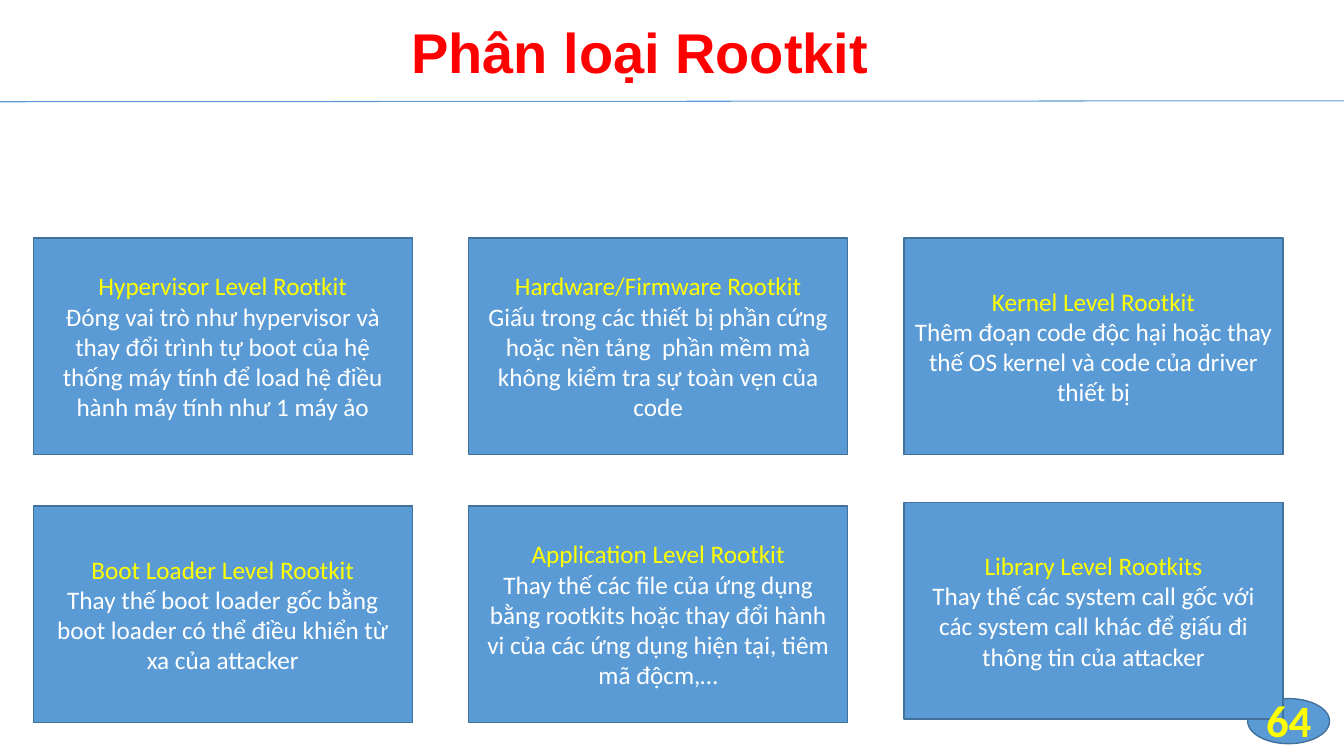
import pptx
import pptx.util
import pptx.dml.color
import pptx.enum.shapes
import pptx.enum.text
import pptx.oxml

Pt = pptx.util.Pt
SHAPE = pptx.enum.shapes.MSO_SHAPE
ALIGN = pptx.enum.text.PP_ALIGN
ANCHOR = pptx.enum.text.MSO_ANCHOR
FIT = pptx.enum.text.MSO_AUTO_SIZE

COLORS = {"fill": "5B9BD5", "edge": "42719B", "head": "FFFF00",
          "body": "FFFFFF", "title": "FF0000"}


def rgb(name):
    return pptx.dml.color.RGBColor.from_string(COLORS[name])


def write(frame, text, color="body", size=18, font="Calibri", bold=False,
          align=ALIGN.CENTER, anchor=ANCHOR.MIDDLE, more=False):
    frame.word_wrap = True
    frame.vertical_anchor = anchor
    para = frame.add_paragraph() if more else frame.paragraphs[0]
    para.alignment = align
    run = para.add_run()
    run.text = text
    run.font.name = font
    run.font.size = Pt(size)
    run.font.bold = bold
    run.font.color.rgb = rgb(color)


def block(kind, left, top, width, height):
    shape = slide.shapes.add_shape(kind, Pt(left), Pt(top), Pt(width), Pt(height))
    shape.shadow.inherit = False
    shape.fill.solid()
    shape.fill.fore_color.rgb = rgb("fill")
    shape.line.color.rgb = rgb("edge")
    shape.line.width = Pt(1)
    return shape


deck = pptx.Presentation()
deck.slide_width = Pt(960)
deck.slide_height = Pt(540)
slide = deck.slides.add_slide(deck.slide_layouts[5])

# Title and the rule below it
title = slide.shapes.title
title.left, title.top = Pt(286.6), Pt(8.6)
title.width, title.height = Pt(367.2), Pt(55.4)
write(title.text_frame, "Phân loại Rootkit", color="title", size=40,
      font="Arial", bold=True, align=ALIGN.LEFT, anchor=ANCHOR.TOP)
title.text_frame.auto_size = FIT.SHAPE_TO_FIT_TEXT

rule = slide.shapes.add_connector(
    pptx.enum.shapes.MSO_CONNECTOR.STRAIGHT, Pt(0), Pt(72.7), Pt(960), Pt(72))
rule.line.color.rgb = rgb("fill")
rule.line.width = Pt(0.75)
rule._element.spPr.append(pptx.oxml.parse_xml(
    '<a:effectLst xmlns:a="http://schemas.openxmlformats.org/drawingml/2006/main"/>'))

# Oval behind the page number
block(SHAPE.OVAL, 891.2, 499, 58.5, 32.2)

# Two rows of three rootkit types
kinds = [
    ("Hypervisor Level Rootkit",
     "Đóng vai trò như hypervisor và thay đổi trình tự boot của hệ thống "
     "máy tính để load hệ điều hành máy tính như 1 máy ảo"),
    ("Hardware/Firmware Rootkit",
     "Giấu trong các thiết bị phần cứng hoặc nền tảng  phần mềm mà không "
     "kiểm tra sự toàn vẹn của code"),
    ("Kernel Level Rootkit",
     "Thêm đoạn code độc hại hoặc thay thế OS kernel và code của driver thiết bị"),
    ("Boot Loader Level Rootkit",
     "Thay thế boot loader gốc bằng boot loader có thể điều khiển từ xa của attacker"),
    ("Application Level Rootkit",
     "Thay thế các file của ứng dụng bằng rootkits hoặc thay đổi hành vi "
     "của các ứng dụng hiện tại, tiêm mã độcm,…"),
    ("Library Level Rootkits",
     "Thay thế các system call gốc với các system call khác để giấu đi "
     "thông tin của attacker"),
]
tops = [170, 170, 170, 361.4, 361.4, 358.8]  # the last box sits a little higher
for i, (head, body) in enumerate(kinds):
    box = block(SHAPE.RECTANGLE, 23.8 + i % 3 * 311, tops[i], 270.7, 154.8)
    write(box.text_frame, head, color="head")
    write(box.text_frame, body, more=True)

# Page number
page = slide.shapes.add_textbox(Pt(727.9), Pt(499.7), Pt(216), Pt(28.8))
write(page.text_frame, "64", color="head", size=32, bold=True, align=ALIGN.RIGHT)

deck.save("out.pptx")
